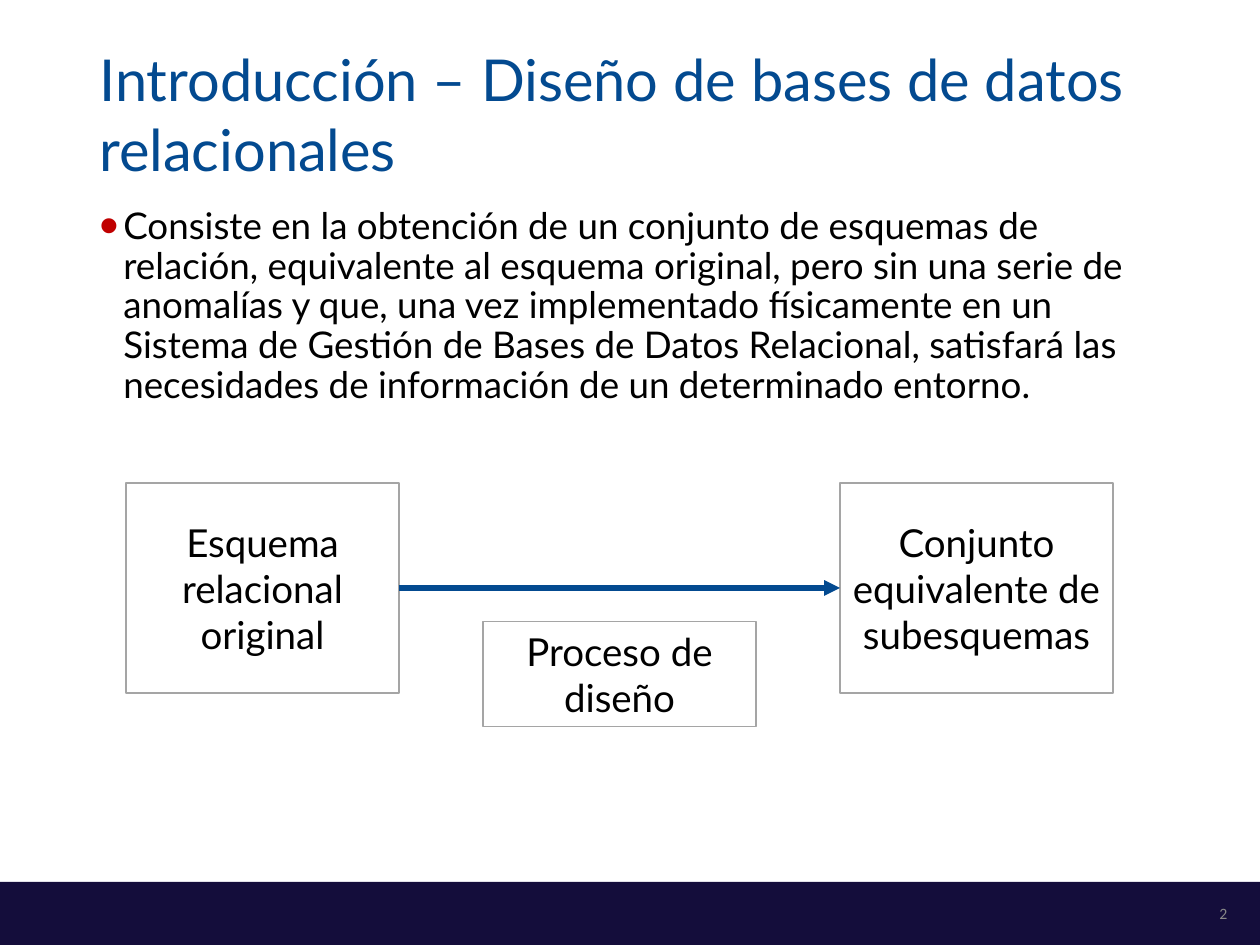
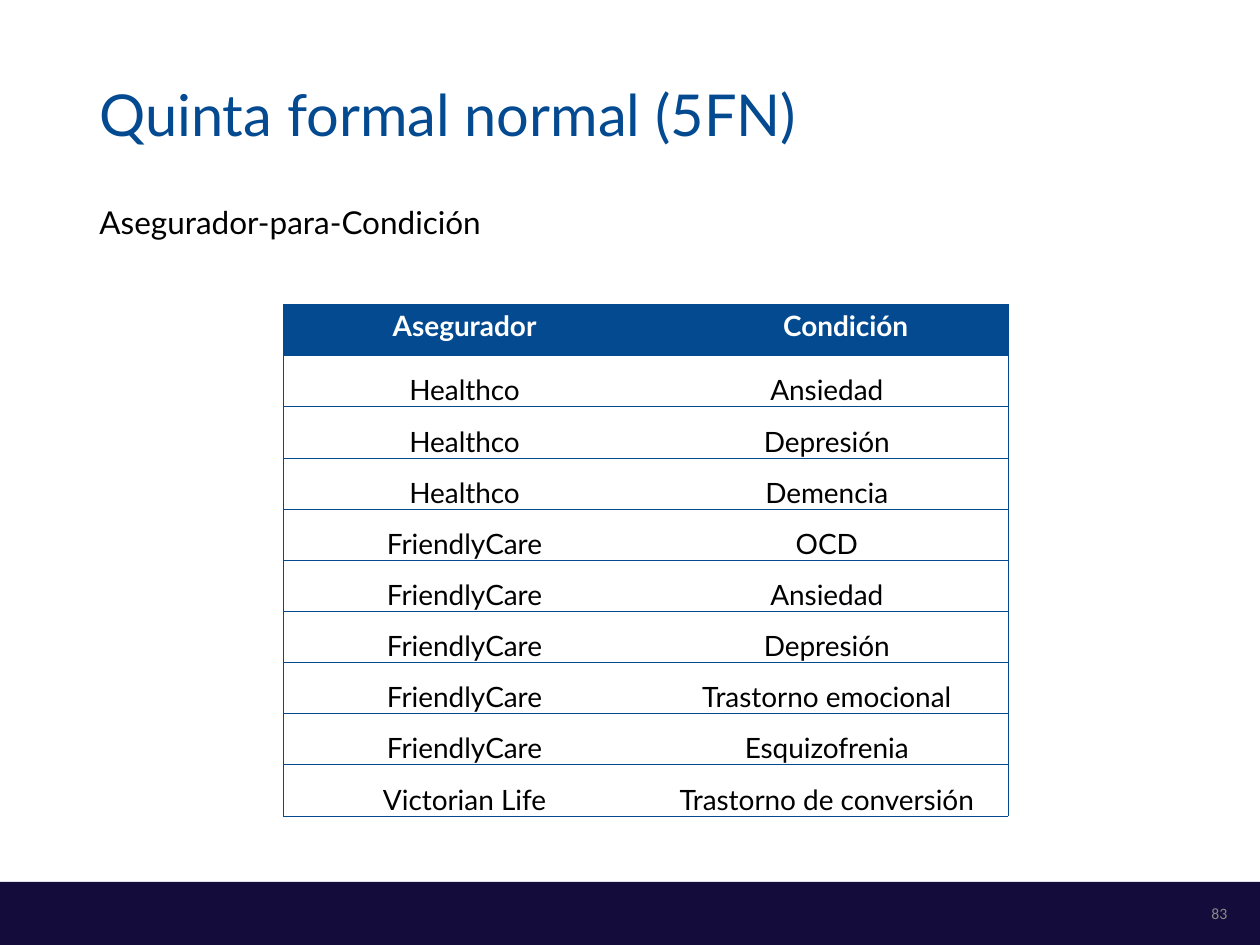
"""Build two slides on relational database design."""
from dataclasses import dataclass

from lxml.etree import SubElement
from pptx import Presentation
from pptx.dml.color import RGBColor
from pptx.enum.shapes import MSO_CONNECTOR, MSO_SHAPE
from pptx.enum.text import MSO_ANCHOR, PP_ALIGN
from pptx.oxml.ns import qn
from pptx.util import Inches, Pt

COLORS = {
    "blue": "034A90",
    "navy": "140D3B",
    "red": "C00000",
    "gray": "A5A5A5",
    "number": "898989",
    "black": "000000",
    "white": "FFFFFF",
}
COLS, ROWS = 60, 45
WIDTH, HEIGHT = Inches(10), Inches(7.5)
NO_STYLE = "{2D5ABB26-0587-4C30-8999-92F81FD0307C}"


@dataclass(frozen=True)
class Area:
    col: float
    row: float
    cols: float
    rows: float

    def emu(self) -> tuple[int, int, int, int]:
        return (round(self.col * WIDTH / COLS), round(self.row * HEIGHT / ROWS),
                round(self.cols * WIDTH / COLS), round(self.rows * HEIGHT / ROWS))


@dataclass(frozen=True)
class Style:
    size: float
    color: str = "black"
    font: str = "Lato"
    bold: bool = False
    align: PP_ALIGN = PP_ALIGN.LEFT
    anchor: MSO_ANCHOR = MSO_ANCHOR.TOP


@dataclass(frozen=True)
class Box:
    text: str
    area: Area


BAND = Area(0, 42, 60, 3)
TITLE = Area(4.14, 2.4, 51.72, 6)
BODY = Area(4.14, 9.6, 51.72, 31.5)
SUBTITLE = Area(4.14, 9.6, 51.72, 2.4)
NUMBER = Area(51.36, 42.3, 7.68, 2.4)
TABLE = Area(13.5, 14.5, 34.5, 24.36)

TITLE_STYLE = Style(33, "blue", anchor=MSO_ANCHOR.MIDDLE)
NUMBER_STYLE = Style(9, "number", "Calibri", align=PP_ALIGN.RIGHT, anchor=MSO_ANCHOR.MIDDLE)
BOX_STYLE = Style(22, align=PP_ALIGN.CENTER, anchor=MSO_ANCHOR.MIDDLE)
HEADER_STYLE = Style(16, "white", bold=True, align=PP_ALIGN.CENTER, anchor=MSO_ANCHOR.MIDDLE)
CELL_STYLE = Style(16, align=PP_ALIGN.CENTER, anchor=MSO_ANCHOR.BOTTOM)

DEFINITION = (
    "Consiste en la obtención de un conjunto de esquemas de relación, equivalente al "
    "esquema original, pero sin una serie de anomalías y que, una vez implementado "
    "físicamente en un Sistema de Gestión de Bases de Datos Relacional, satisfará las "
    "necesidades de información de un determinado entorno."
)
SOURCE = Box("Esquema relacional original", Area(6, 23, 13, 10))
TARGET = Box("Conjunto equivalente de subesquemas", Area(40, 23, 13, 10))
PROCESS = Box("Proceso de diseño", Area(23, 29.6, 13, 5))

HEADER = ("Asegurador", "Condición")
CONDITIONS = {
    "Healthco": ("Ansiedad", "Depresión", "Demencia"),
    "FriendlyCare": ("OCD", "Ansiedad", "Depresión", "Trastorno emocional", "Esquizofrenia"),
    "Victorian Life": ("Trastorno de conversión",),
}


def rgb(name: str) -> RGBColor:
    return RGBColor.from_string(COLORS[name])


def write(tf, text: str, style: Style):
    p = tf.paragraphs[0]
    p.alignment = style.align
    r = p.add_run()
    r.text = text
    r.font.name, r.font.size, r.font.bold = style.font, Pt(style.size), style.bold
    r.font.color.rgb = rgb(style.color)
    return p


def add_text(s, area: Area, text: str, style: Style):
    tf = s.shapes.add_textbox(*area.emu()).text_frame
    tf.word_wrap = True
    tf.vertical_anchor = style.anchor
    return write(tf, text, style)


def add_rect(s, area: Area, fill: str, line: str | None = None):
    sp = s.shapes.add_shape(MSO_SHAPE.RECTANGLE, *area.emu())
    sp.shadow.inherit = False
    sp.fill.solid()
    sp.fill.fore_color.rgb = rgb(fill)
    if line:
        sp.line.color.rgb = rgb(line)
        sp.line.width = Pt(1)
    else:
        sp.line.fill.background()
    return sp


def add_box(s, box: Box):
    sp = add_rect(s, box.area, "white", "gray")
    tf = sp.text_frame
    tf.word_wrap = True
    tf.margin_left = tf.margin_right = Inches(0.08)
    tf.vertical_anchor = BOX_STYLE.anchor
    write(tf, box.text, BOX_STYLE)
    return sp


def add_arrow(s, start, end) -> None:
    line = s.shapes.add_connector(MSO_CONNECTOR.STRAIGHT, 0, 0, 0, 0)
    line.begin_connect(start, 3)
    line.end_connect(end, 1)
    line.line.color.rgb = rgb("blue")
    line.line.width = Pt(3)
    SubElement(line.line._get_or_add_ln(), qn("a:tailEnd"), type="triangle")
    SubElement(line._element.spPr, qn("a:effectLst"))


def add_bullet(p) -> None:
    pPr = p._p.get_or_add_pPr()
    indent = Inches(0.19)
    pPr.set("marL", str(indent))
    pPr.set("indent", str(-indent))
    color = SubElement(pPr, qn("a:buClr"))
    SubElement(color, qn("a:srgbClr"), val=COLORS["red"])
    SubElement(pPr, qn("a:buSzPct"), val="150000")
    SubElement(pPr, qn("a:buFont"), typeface="Arial")
    SubElement(pPr, qn("a:buChar"), char="•")


def add_borders(cell, sides: str) -> None:
    tcPr = cell._tc.get_or_add_tcPr()
    for i, side in enumerate(sides):
        ln = SubElement(tcPr, qn(f"a:ln{side}"), w=str(Pt(0.5)))
        fill = SubElement(ln, qn("a:solidFill"))
        SubElement(fill, qn("a:srgbClr"), val=COLORS["blue"])
        tcPr.insert(i, ln)


def fill_cell(cell, text: str, is_header: bool, is_first: bool) -> None:
    style = HEADER_STYLE if is_header else CELL_STYLE
    side, top = (0.07, 0) if is_header else (0.01, 0.01)
    cell.margin_left = cell.margin_right = Inches(side)
    cell.margin_top, cell.margin_bottom = Inches(top), 0
    cell.vertical_anchor = style.anchor
    p = write(cell.text_frame, text, style)
    p.line_spacing = Pt(14.4)
    if is_header:
        cell.fill.solid()
        cell.fill.fore_color.rgb = rgb("blue")
        if not is_first:
            p._p.get_or_add_pPr().set("marL", str(Inches(0.3)))
    else:
        cell.fill.background()
    add_borders(cell, "LTB" if is_first else "RTB")


def add_conditions(s) -> None:
    records = [HEADER] + [(insurer, c) for insurer, cs in CONDITIONS.items() for c in cs]
    frame = s.shapes.add_table(len(records), len(HEADER), *TABLE.emu())
    table = frame.table
    table.first_row = table.horz_banding = False
    next(frame._element.iter(qn("a:tableStyleId"))).text = NO_STYLE
    for i, record in enumerate(records):
        for j, text in enumerate(record):
            fill_cell(table.cell(i, j), text, i == 0, j == 0)


def add_slide(prs, title: str, number: int):
    s = prs.slides.add_slide(prs.slide_layouts[6])
    s.background.fill.solid()
    s.background.fill.fore_color.rgb = rgb("white")
    add_rect(s, BAND, "navy")
    add_text(s, TITLE, title, TITLE_STYLE)
    add_text(s, NUMBER, str(number), NUMBER_STYLE)
    return s


def build_introduction(prs) -> None:
    s = add_slide(prs, "Introducción – Diseño de bases de datos relacionales", 2)
    p = add_text(s, BODY, DEFINITION, Style(21))
    add_bullet(p)
    p.line_spacing = 0.9
    source, target = add_box(s, SOURCE), add_box(s, TARGET)
    add_arrow(s, source, target)
    add_box(s, PROCESS)


def build_fifth_form(prs) -> None:
    s = add_slide(prs, "Quinta formal normal (5FN)", 83)
    add_text(s, SUBTITLE, "Asegurador-para-Condición", Style(18)).line_spacing = 0.9
    add_conditions(s)


def main() -> None:
    prs = Presentation()
    prs.slide_width, prs.slide_height = WIDTH, HEIGHT
    build_introduction(prs)
    build_fifth_form(prs)
    prs.save("out.pptx")


if __name__ == "__main__":
    main()
